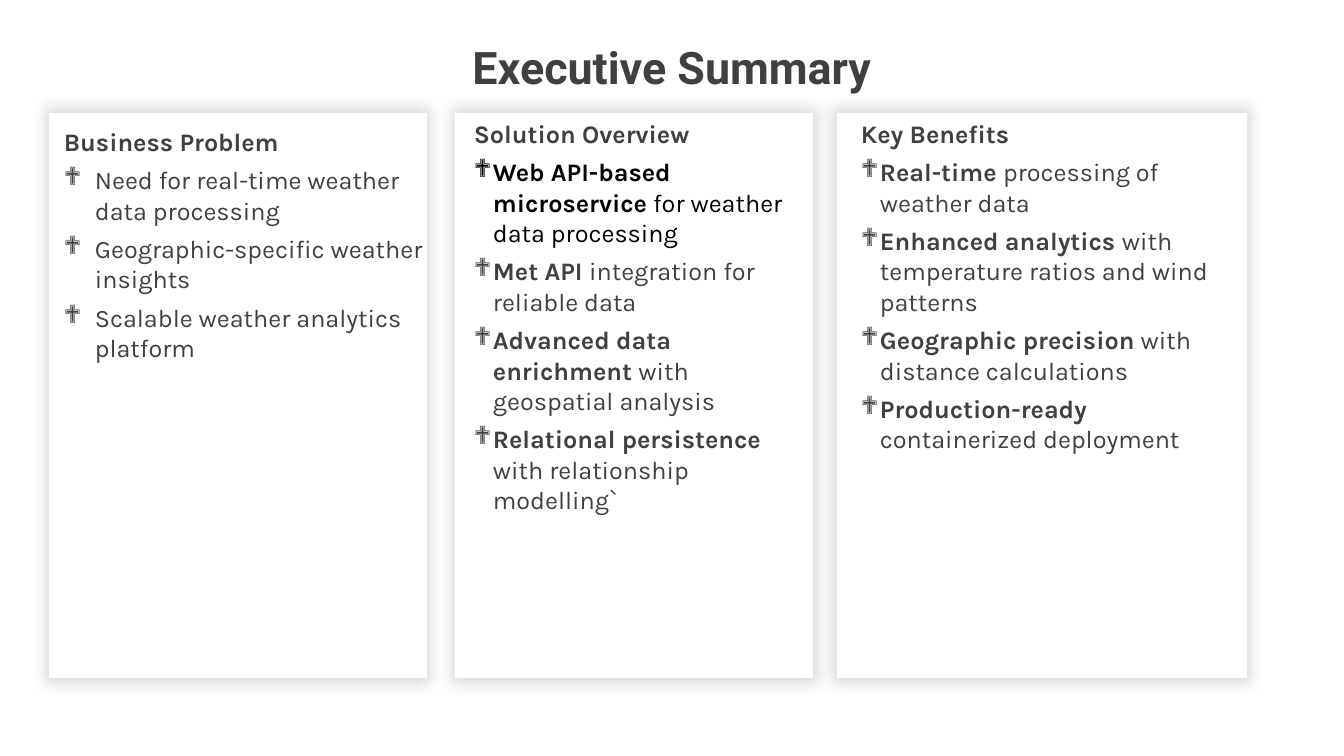
from lxml.etree import SubElement
from pptx import Presentation
from pptx.dml.color import RGBColor
from pptx.enum.shapes import MSO_SHAPE
from pptx.enum.text import MSO_ANCHOR, PP_ALIGN
from pptx.oxml.ns import qn
from pptx.util import Pt

EMU_PER_PX = 914400 / 100.8
COLORS = {"card": "FFFFFF", "text": "404040", "accent": "000000", "shadow": "000000"}


def px(*lengths):
    return [round(length * EMU_PER_PX) for length in lengths]


def add_span(para, text, font, size, bold, color):
    span = para.add_run()
    span.text = text
    span.font.name = font
    span.font.size = Pt(size)
    span.font.bold = bold
    span.font.color.rgb = RGBColor.from_string(COLORS[color])


deck = Presentation()
deck.slide_width, deck.slide_height = px(1344, 756)
page = deck.slides.add_slide(deck.slide_layouts[6])

title = page.shapes.add_textbox(*px(0, 34, 1344, 65)).text_frame
title.word_wrap = True
title.vertical_anchor = MSO_ANCHOR.MIDDLE
title.paragraphs[0].alignment = PP_ALIGN.CENTER
add_span(title.paragraphs[0], "Executive Summary", "Roboto", 32, True, "text")

columns = [
    {
        "heading": "Business Problem",
        "card": (49, 378),
        "text": (54, 121, 409, 297),
        "indent": 31,
        "points": [
            ("", "Need for real-time weather data processing", "text"),
            ("", "Geographic-specific weather insights", "text"),
            ("", "Scalable weather analytics platform", "text"),
        ],
    },
    {
        "heading": "Solution Overview",
        "card": (455, 358),
        "text": (464, 113, 341, 410),
        "indent": 19,
        "points": [
            ("Web API-based microservice", " for weather data processing", "accent"),
            ("Met API ", "integration for reliable data", "text"),
            ("Advanced data enrichment ", "with geospatial analysis", "text"),
            ("Relational persistence ", "with relationship modelling`", "text"),
        ],
    },
    {
        "heading": "Key Benefits",
        "card": (837, 410),
        "text": (851, 113, 384, 350),
        "indent": 19,
        "points": [
            ("Real-time ", "processing of weather data", "text"),
            ("Enhanced analytics ", "with temperature ratios and wind patterns", "text"),
            ("Geographic precision", " with distance calculations", "text"),
            ("Production-ready ", "containerized deployment", "text"),
        ],
    },
]

for column in columns:
    left, width = column["card"]
    card = page.shapes.add_shape(MSO_SHAPE.RECTANGLE, *px(left, 113, width, 565))
    card.fill.solid()
    card.fill.fore_color.rgb = RGBColor.from_string(COLORS["card"])
    card.line.fill.background()
    card.shadow.inherit = False
    effects = card._element.spPr.find(qn("a:effectLst"))
    shadow = SubElement(effects, qn("a:outerShdw"), blurRad=str(Pt(10)), dist="0", dir="0",
                        sx="102000", sy="102000", algn="ctr", rotWithShape="0")
    shade = SubElement(shadow, qn("a:srgbClr"), val=COLORS["shadow"])
    SubElement(shade, qn("a:alpha"), val="15000")

for column in columns:
    frame = page.shapes.add_textbox(*px(*column["text"])).text_frame
    frame.word_wrap = True
    heading = frame.paragraphs[0]
    heading.space_after = Pt(6)
    add_span(heading, column["heading"], "Karla", 18, True, "text")
    indent = px(column["indent"])[0]
    for lead, detail, color in column["points"]:
        para = frame.add_paragraph()
        para.space_after = Pt(6)
        properties = para._p.get_or_add_pPr()
        properties.set("marL", str(indent))
        properties.set("indent", str(-indent))
        SubElement(properties, qn("a:buFont"), typeface="Wingdings")
        SubElement(properties, qn("a:buChar"), char="❖")
        if lead:
            add_span(para, lead, "Karla", 18, True, color)
        add_span(para, detail, "Karla", 18, False, color)

deck.save("out.pptx")
